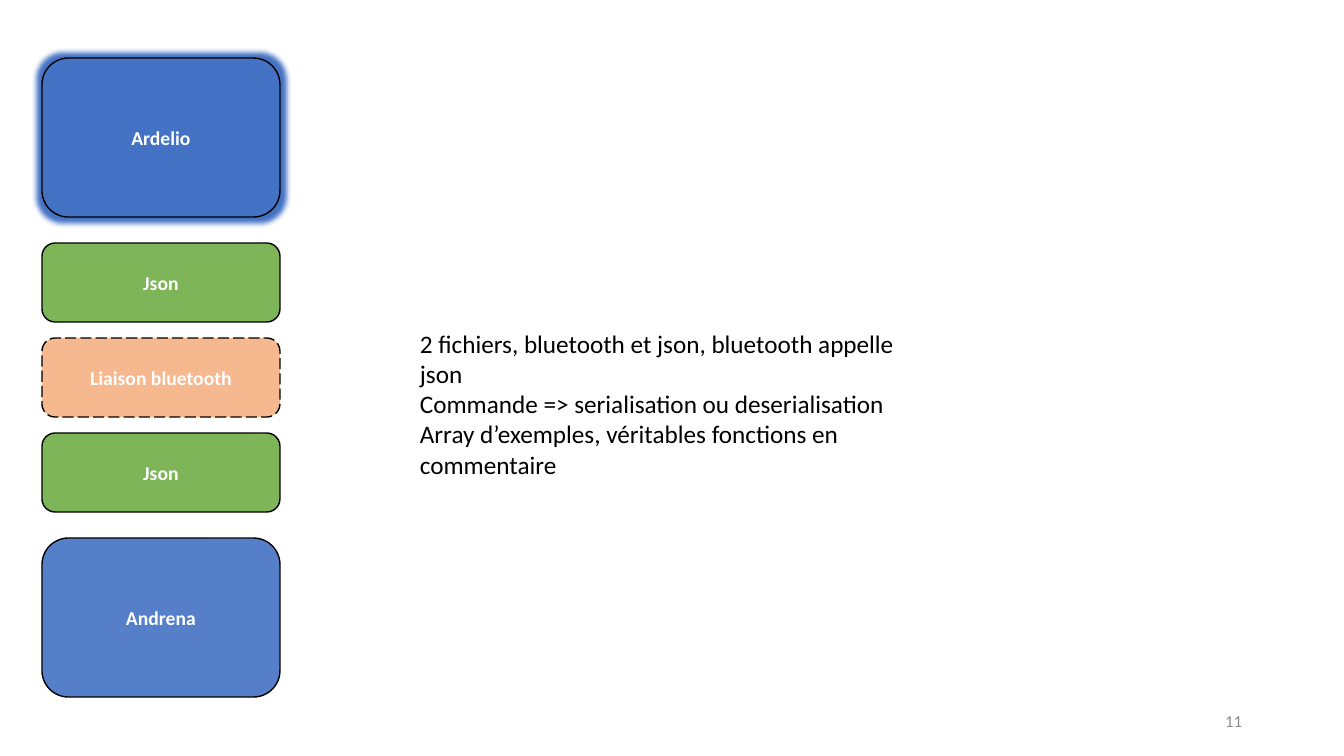
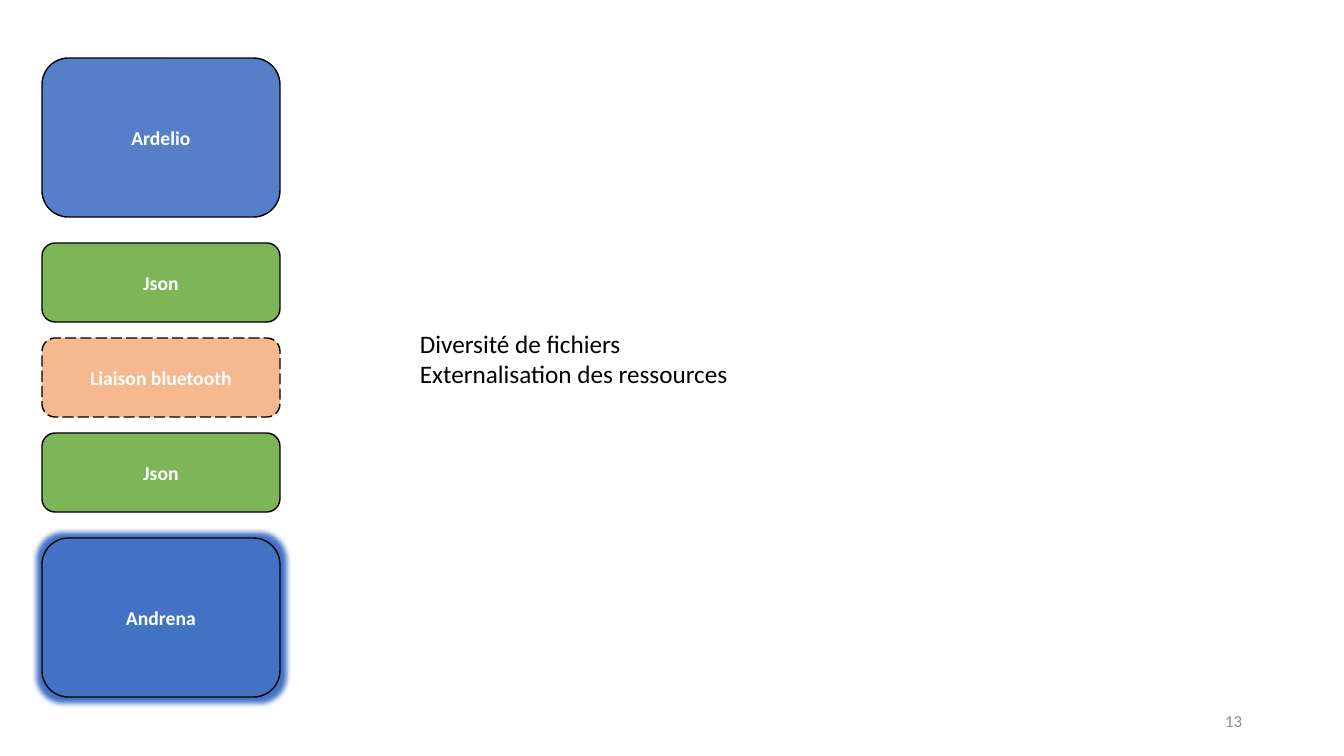
from dataclasses import dataclass
from typing import Any

from lxml.etree import SubElement as Sub
from pptx import Presentation
from pptx.dml.color import RGBColor as Rgb
from pptx.enum.dml import MSO_LINE as Dash
from pptx.enum.shapes import MSO_SHAPE as Form
from pptx.enum.text import MSO_ANCHOR as Anchor, MSO_AUTO_SIZE as Fit, PP_ALIGN as Align
from pptx.oxml.ns import qn
from pptx.util import Emu, Pt


@dataclass(frozen=True)
class Theme:
    font: str = "Calibri"
    black: str = "000000"
    white: str = "FFFFFF"
    gray: str = "8C8C8C"
    blue: str = "4472C4"
    green: str = "70AD47"
    peach: str = "F4B183"
    body: int = 18
    label: int = 14
    foot: int = 12
    edge: int = 1
    glow: int = 8
    solid: int = 90
    active: int = 60


@dataclass(frozen=True)
class Box:
    left: int
    top: int
    width: int
    height: int


@dataclass(frozen=True)
class Layer:
    name: str
    color: str
    height: int
    gap: int
    dash: Any = Dash.SOLID


@dataclass(frozen=True)
class Page:
    number: int
    active: str
    lines: tuple[str, ...]
    height: int


THEME = Theme()
WIDTH, HEIGHT = 1344, 756
LEFT, TOP, WIDE = 42, 58, 238
TALL, LOW = 159, 79
OUTER, INNER = 26, 16
FOOT = Box(950, 701, 302, 40)

LAYERS = (
    Layer("Ardelio", THEME.blue, TALL, OUTER),
    Layer("Json", THEME.green, LOW, INNER),
    Layer("Liaison bluetooth", THEME.peach, LOW, INNER, Dash.LONG_DASH),
    Layer("Json", THEME.green, LOW, OUTER),
    Layer("Andrena", THEME.blue, TALL, 0),
)

PAGES = (
    Page(11, "Ardelio", (
        "2 fichiers, bluetooth et json, bluetooth appelle json",
        "Commande => serialisation ou deserialisation",
        "Array d’exemples, véritables fonctions en commentaire",
    ), 163),
    Page(13, "Andrena", (
        "Diversité de fichiers",
        "Externalisation des ressources",
    ), 72),
)


def px(count: int) -> Emu:
    """Turn pixels, 100.8 to the inch, into EMU."""
    return Emu(round(count * 914400 / 100.8))


def place(box: Box) -> tuple[Emu, ...]:
    return tuple(px(n) for n in (box.left, box.top, box.width, box.height))


def style(target: Any, **values: Any) -> None:
    for name, value in values.items():
        setattr(target, name, value)


def write(frame: Any, lines: tuple[str, ...], size: int, color: str,
          align: Any = Align.LEFT, bold: bool = False, **values: Any) -> None:
    """Fill a text frame, one paragraph per line; values format the frame."""
    style(frame, word_wrap=True, **values)
    for index, line in enumerate(lines):
        para = frame.add_paragraph() if index else frame.paragraphs[0]
        para.alignment = align
        run = para.add_run()
        run.text = line
        style(run.font, name=THEME.font, size=Pt(size), bold=bold)
        run.font.color.rgb = Rgb.from_string(color)


def fade(shape: Any, share: int) -> None:
    """Set the opacity of a solid fill, in percent."""
    color = shape.element.spPr.find(qn("a:solidFill")).find(qn("a:srgbClr"))
    Sub(color, qn("a:alpha"), val=str(share * 1000))


def glow(shape: Any, color: str) -> None:
    effects = shape.element.spPr.find(qn("a:effectLst"))
    halo = Sub(effects, qn("a:glow"), rad=str(Pt(THEME.glow)))
    Sub(halo, qn("a:srgbClr"), val=color)


def draw_layer(slide: Any, layer: Layer, top: int, active: bool) -> None:
    box = Box(LEFT, top, WIDE, layer.height)
    shape = slide.shapes.add_shape(Form.ROUNDED_RECTANGLE, *place(box))
    shape.shadow.inherit = False
    shape.fill.solid()
    shape.fill.fore_color.rgb = Rgb.from_string(layer.color)
    fade(shape, THEME.active if active else THEME.solid)
    shape.line.color.rgb = Rgb.from_string(THEME.black)
    style(shape.line, width=Pt(THEME.edge), dash_style=layer.dash)
    if active:
        glow(shape, layer.color)
    write(shape.text_frame, (layer.name,), THEME.label, THEME.white,
          Align.CENTER, True, vertical_anchor=Anchor.MIDDLE)


def draw_stack(slide: Any, active: str) -> None:
    top = TOP
    for layer in LAYERS:
        draw_layer(slide, layer, top, layer.name == active)
        top += layer.height + layer.gap


def draw_page(slide: Any, page: Page) -> None:
    foot = slide.shapes.add_textbox(*place(FOOT))
    write(foot.text_frame, (str(page.number),), THEME.foot, THEME.gray,
          Align.RIGHT, vertical_anchor=Anchor.MIDDLE)
    draw_stack(slide, page.active)
    body = slide.shapes.add_textbox(*place(Box(410, 323, 523, page.height)))
    write(body.text_frame, page.lines, THEME.body, THEME.black,
          auto_size=Fit.SHAPE_TO_FIT_TEXT)


def main() -> None:
    deck = Presentation()
    style(deck, slide_width=px(WIDTH), slide_height=px(HEIGHT))
    for page in PAGES:
        draw_page(deck.slides.add_slide(deck.slide_layouts[6]), page)
    deck.save("out.pptx")


if __name__ == "__main__":
    main()
